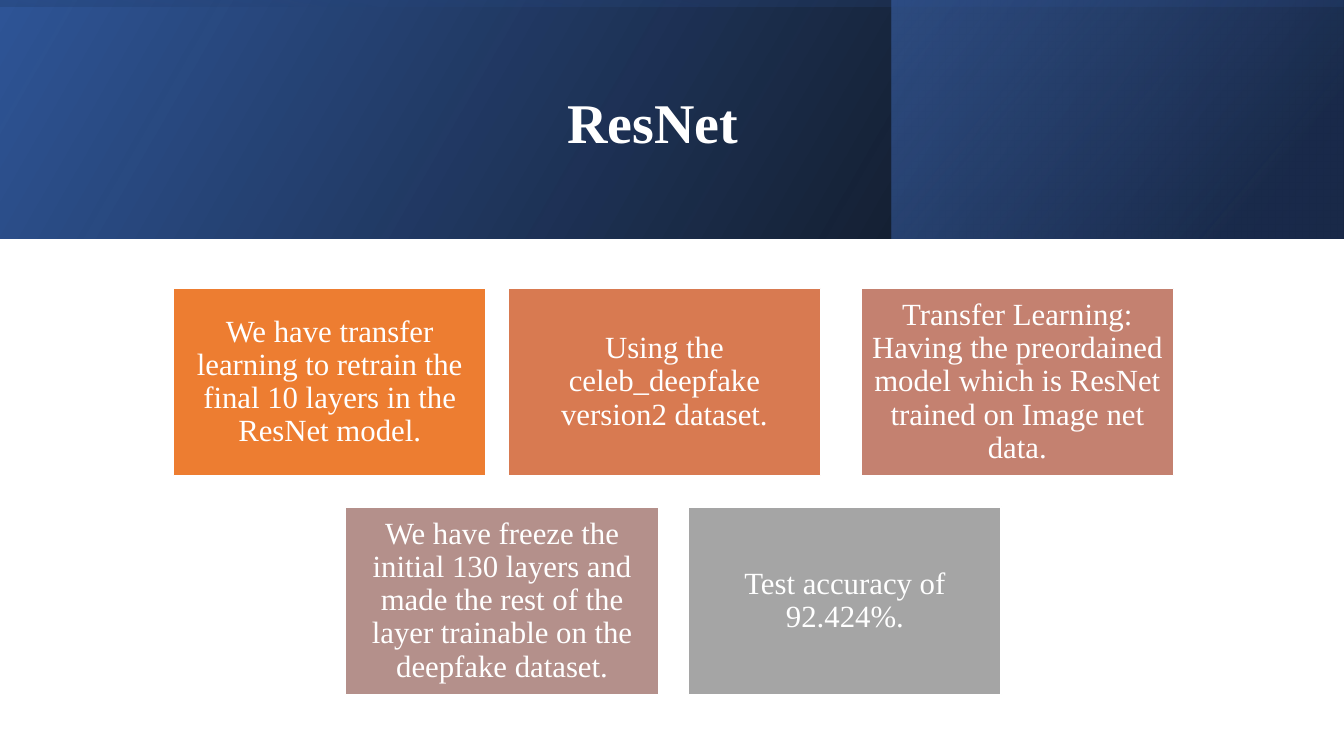
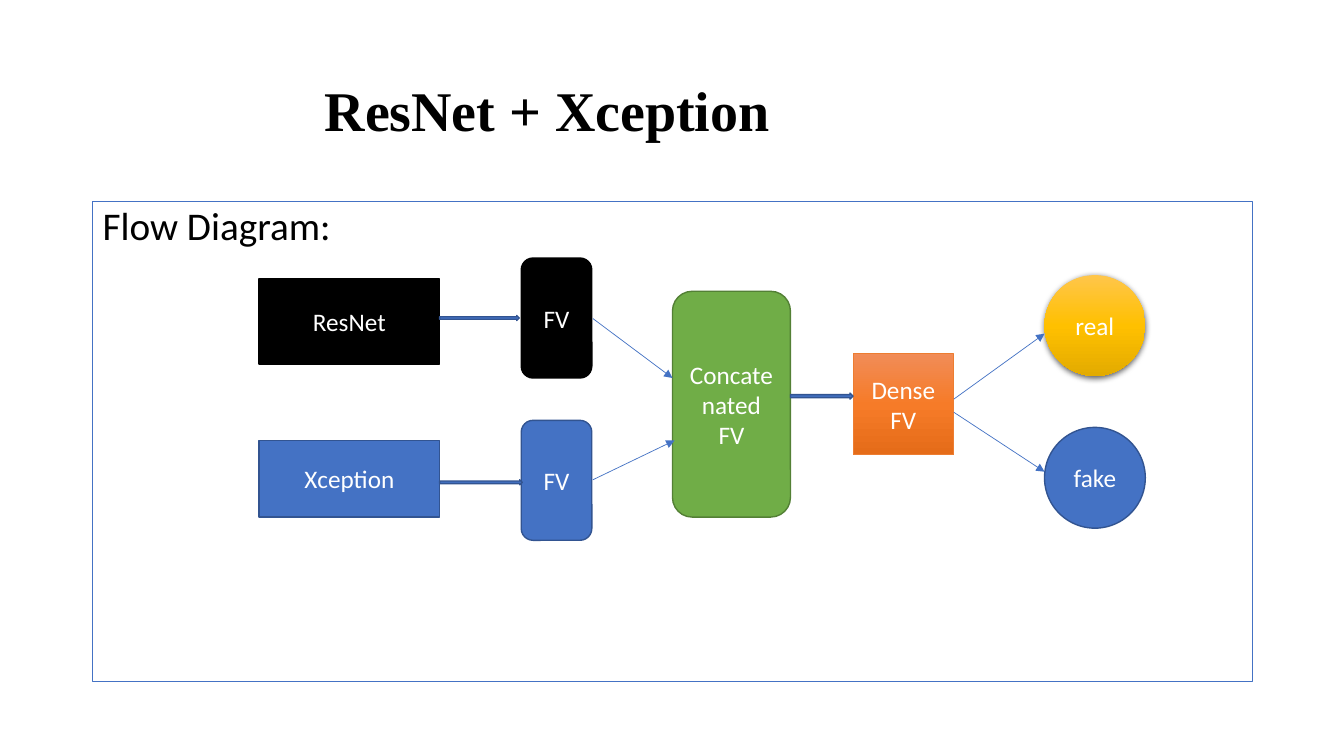
from lxml import etree
from pptx import Presentation
from pptx.dml.color import RGBColor
from pptx.enum.shapes import MSO_CONNECTOR, MSO_SHAPE
from pptx.enum.text import MSO_ANCHOR, PP_ALIGN
from pptx.oxml.ns import qn
from pptx.util import Inches, Pt

RECT, ROUND = MSO_SHAPE.RECTANGLE, MSO_SHAPE.ROUNDED_RECTANGLE
OVAL, ARROW = MSO_SHAPE.OVAL, MSO_SHAPE.RIGHT_ARROW
STRAIGHT = MSO_CONNECTOR.STRAIGHT
LEFT, CENTER = PP_ALIGN.LEFT, PP_ALIGN.CENTER
TOP, MIDDLE = MSO_ANCHOR.TOP, MSO_ANCHOR.MIDDLE

SERIF, SANS = "Times New Roman", "Calibri"
WHITE, BLACK = "FFFFFF", "000000"
BLUE, BLUE_EDGE = "4472C4", "325491"
GREEN, GREEN_EDGE = "70AD47", "538035"
ORANGE = "ED7D31"


def rgb(value):
    return RGBColor.from_string(value)


def add_node(parent, tag, **attrs):
    node = etree.SubElement(parent, qn(tag))
    for name, value in attrs.items():
        node.set(name, str(value))
    return node


def add_color(parent, color, alpha=100):
    node = add_node(parent, "a:srgbClr", val=color)
    if alpha < 100:
        add_node(node, "a:alpha", val=alpha * 1000)


def write_text(sp, text, font=SANS, size=18, color=WHITE, bold=False,
               align=CENTER, anchor=MIDDLE, spacing=1.0, inset=(0.1, 0.05)):
    """Write one paragraph per line of text; inset is horizontal, vertical."""
    tf = sp.text_frame
    tf.word_wrap = True
    tf.vertical_anchor = anchor
    tf.margin_left = tf.margin_right = Inches(inset[0])
    tf.margin_top = tf.margin_bottom = Inches(inset[1])
    for i, line in enumerate(text.split("\n")):
        p = tf.paragraphs[0] if i == 0 else tf.add_paragraph()
        p.alignment = align
        p.line_spacing = spacing
        r = p.add_run()
        r.text = line
        r.font.name, r.font.size, r.font.bold = font, Pt(size), bold
        r.font.color.rgb = rgb(color)


class Deck:
    def __init__(self):
        self.prs = Presentation()
        self.prs.slide_width = Inches(13.33)
        self.prs.slide_height = Inches(7.5)
        self.s = None

    def new_slide(self):
        self.s = self.prs.slides.add_slide(self.prs.slide_layouts[6])

    def title(self, text, box, indent, color):
        sp = self.s.shapes.add_textbox(*map(Inches, box))
        write_text(sp, text, font=SERIF, size=40, color=color, bold=True,
                   align=LEFT, spacing=0.9)
        sp.text_frame.margin_left = Inches(indent)

    def shape(self, kind, box, fill=None, line=None, width=1, text="", **fmt):
        sp = self.s.shapes.add_shape(kind, *map(Inches, box))
        sp.shadow.inherit = False
        if fill:
            sp.fill.solid()
            sp.fill.fore_color.rgb = rgb(fill)
        else:
            sp.fill.background()
        if line:
            sp.line.color.rgb = rgb(line)
            sp.line.width = Pt(width)
        else:
            sp.line.fill.background()
        if text:
            write_text(sp, text, **fmt)
        return sp

    def gradient(self, kind, box, stops, angle, **kw):
        """Stops are (position, colour[, opacity]); angle runs clockwise."""
        sp = self.shape(kind, box, **kw)
        sp_pr = sp._element.spPr
        grad = etree.Element(qn("a:gradFill"), rotWithShape="1")
        stop_list = add_node(grad, "a:gsLst")
        for pos, *color in stops:
            add_color(add_node(stop_list, "a:gs", pos=pos * 1000), *color)
        add_node(grad, "a:lin", ang=angle * 60000, scaled=0)
        sp_pr.replace(sp_pr.find(qn("a:noFill")), grad)
        return sp

    def band(self, box, stops, angle, rotation=0):
        sp = self.gradient(RECT, box, stops, angle)
        sp.rotation = rotation
        sp._element.spPr.find(qn("a:xfrm")).set("flipH", "1")

    def drop_shadow(self, sp, alpha, blur, dist):
        effects = sp._element.spPr.find(qn("a:effectLst"))
        shadow = add_node(effects, "a:outerShdw", blurRad=Pt(blur),
                          dist=Pt(dist), dir=90 * 60000, algn="ctr",
                          rotWithShape=0)
        add_color(shadow, BLACK, alpha)

    def arrow(self, start, end):
        cxn = self.s.shapes.add_connector(STRAIGHT, *map(Inches, start + end))
        cxn.line.color.rgb = rgb(BLUE)
        cxn.line.width = Pt(0.5)
        sp_pr = cxn._element.spPr
        add_node(sp_pr.find(qn("a:ln")), "a:tailEnd", type="triangle")
        add_node(sp_pr, "a:effectLst")


def resnet_slide(deck):
    deck.new_slide()

    # Header band in three layers
    deck.band((0, 0, 13.33, 2.37), [(0, BLACK, 96), (100, "2F5597")], 330)
    deck.band((8.84, 0, 4.48, 2.37),
              [(19, "203864", 68), (100, BLUE, 48)], 320)
    deck.band((5.48, -5.48, 2.37, 13.33),
              [(23, "2F5597", 16), (99, BLACK, 45)], 350, rotation=270)
    deck.title("ResNet", (1.51, 0.38, 10.63, 1.72), 4.12, WHITE)

    # Cards
    top_row, bottom_row = 2.86, 5.03
    cards = [
        (1.72, top_row, ORANGE, "We have transfer learning to retrain the "
         "final 10 layers in the ResNet model."),
        (5.04, top_row, "D87A51", "Using the celeb_deepfake version2 dataset."),
        (8.54, top_row, "C48170", "Transfer Learning: Having the preordained "
         "model which is ResNet trained on Image net data."),
        (3.43, bottom_row, "B4908B", "We have freeze the initial 130 layers "
         "and made the rest of the layer trainable on the deepfake dataset."),
        (6.83, bottom_row, "A5A5A5", "Test accuracy of 92.424%."),
    ]
    for x, y, fill, text in cards:
        deck.shape(RECT, (x, y, 3.1, 1.86), fill, WHITE, text=text,
                   font=SERIF, size=22, spacing=0.9, inset=(0.09, 0.09))


def flow_slide(deck):
    deck.new_slide()
    deck.title("ResNet + Xception", (0.92, 0.4, 11.5, 1.45), 2.3, BLACK)
    deck.shape(RECT, (0.92, 2, 11.5, 4.76), line=BLUE, width=0.5,
               text="Flow Diagram:", size=28, color=BLACK, align=LEFT,
               anchor=TOP, spacing=0.9)

    # Models, feature vectors and concatenation
    for kind, box, fill, line, text in [
        (RECT, (2.57, 2.77, 1.79, 0.84), BLACK, BLACK, "ResNet"),
        (RECT, (2.57, 4.37, 1.79, 0.76), BLUE, BLUE_EDGE, "Xception"),
        (ROUND, (5.17, 2.56, 0.7, 1.19), BLACK, BLACK, "FV"),
        (ROUND, (5.17, 4.17, 0.7, 1.19), BLUE, BLUE_EDGE, "FV"),
        (ROUND, (6.67, 2.89, 1.17, 2.24), GREEN, GREEN_EDGE,
         "Concatenated\nFV"),
    ]:
        deck.shape(kind, box, fill, line, text=text)

    # Dense layer and results
    deck.gradient(RECT, (8.46, 3.51, 1, 1),
                  [(0, "F18C57"), (50, "F67B28"), (100, "E56C19")], 90,
                  line=ORANGE, width=0.5, text="Dense\nFV")
    real = deck.gradient(OVAL, (10.36, 2.73, 1, 1),
                         [(0, "FFC64B"), (50, "FFC000"), (100, "E3AB00")], 90,
                         text="real")
    deck.drop_shadow(real, alpha=63, blur=4.5, dist=1.5)
    deck.shape(OVAL, (10.36, 4.24, 1, 1), BLUE, BLUE_EDGE, text="fake")

    # Block arrows
    for box in [(4.36, 3.13, 0.79, 0.05), (4.36, 4.76, 0.82, 0.05),
                (7.84, 3.9, 0.62, 0.06)]:
        deck.shape(ARROW, box, BLUE, BLUE_EDGE)

    # Thin arrows
    for start, end in [((5.88, 3.16), (6.67, 3.75)),
                       ((5.88, 4.76), (6.69, 4.37)),
                       ((9.46, 3.96), (10.36, 3.31)),
                       ((9.46, 4.09), (10.36, 4.68))]:
        deck.arrow(start, end)


def main():
    deck = Deck()
    resnet_slide(deck)
    flow_slide(deck)
    deck.prs.save("out.pptx")


if __name__ == "__main__":
    main()
